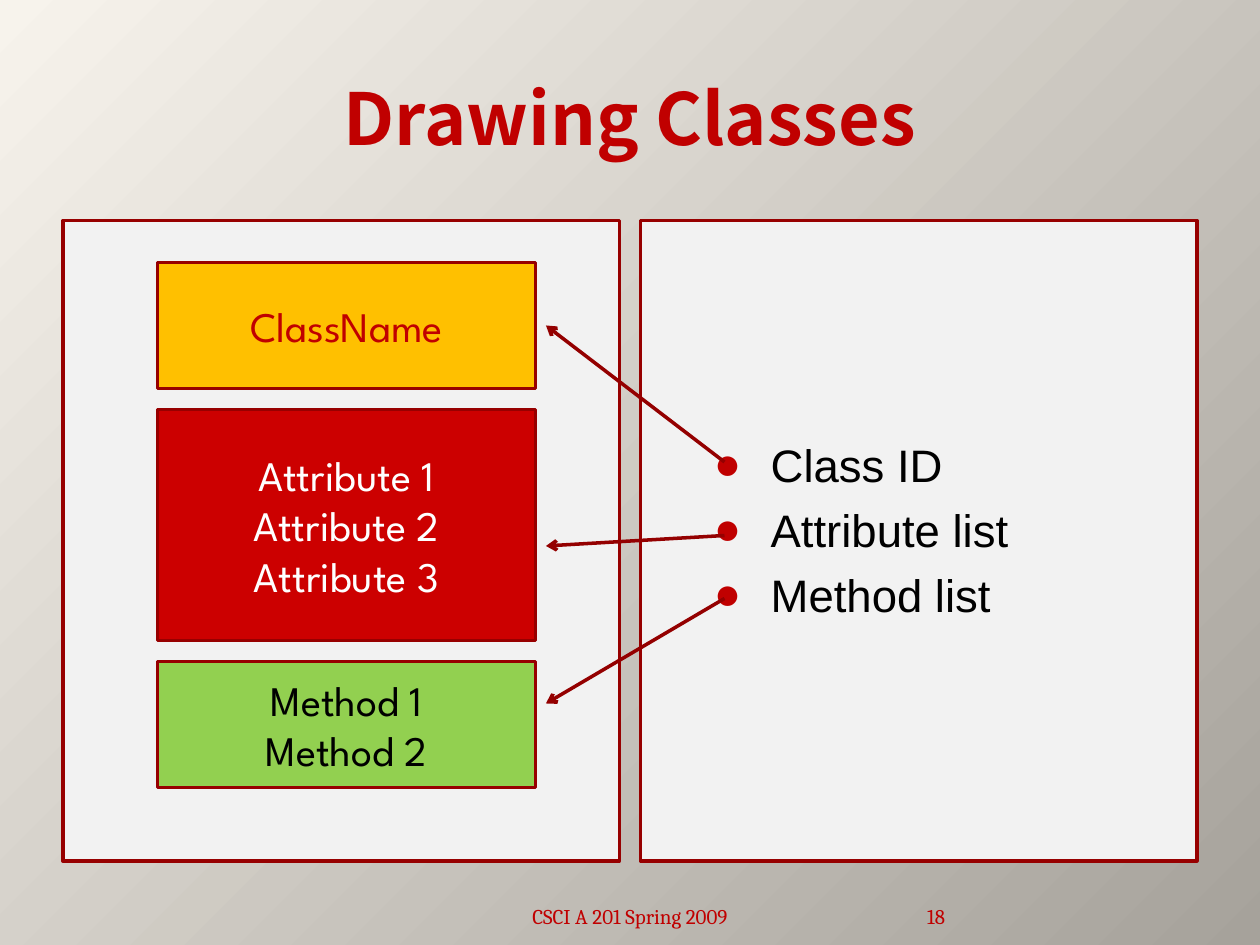
import dataclasses
import typing

import pptx
import pptx.dml.color
import pptx.enum.shapes
import pptx.enum.text
import pptx.oxml
import pptx.oxml.ns
import pptx.util

Pt = pptx.util.Pt
Align = pptx.enum.text.PP_ALIGN
Anchor = pptx.enum.text.MSO_ANCHOR


def rgb(code: str) -> pptx.dml.color.RGBColor:
    return pptx.dml.color.RGBColor.from_string(code)


@dataclasses.dataclass(frozen=True)
class Theme:
    light: str = "F7F3EC"
    dark: str = "A6A29B"
    panel: str = "F2F2F2"
    border: str = "970000"
    arrow: str = "940000"
    accent: str = "C00000"
    black: str = "000000"
    white: str = "FFFFFF"
    gold: str = "FFC000"
    red: str = "CC0000"
    green: str = "92D050"
    title_font: str = "Noto Sans CJK SC"
    body_font: str = "Arial"
    class_font: str = "League Spartan"
    footer_font: str = "Cambria"
    title_size: float = 41
    body_size: float = 26
    class_size: float = 24
    footer_size: float = 12
    stroke: float = 2


THEME = Theme()


class Style(typing.NamedTuple):
    font: str
    size: float
    color: str
    bold: bool = False


class ClassPart(typing.NamedTuple):
    paragraphs: list[str]
    height: float
    fill: str
    color: str


class Arrow(typing.NamedTuple):
    start_y: float
    end_y: float


class Footer(typing.NamedTuple):
    text: str
    left: float
    width: float
    align: Align
    side_inset: float


def place(shape: typing.Any, left: float, top: float, width: float, height: float) -> None:
    shape.left, shape.top, shape.width, shape.height = map(Pt, (left, top, width, height))


def write(box: typing.Any, texts: list[str], style: Style, align: Align, anchor: Anchor) -> None:
    frame = box.text_frame
    frame.word_wrap = True
    frame.auto_size = pptx.enum.text.MSO_AUTO_SIZE.NONE
    frame.vertical_anchor = anchor
    for index, text in enumerate(texts):
        para = frame.add_paragraph() if index else frame.paragraphs[0]
        para.alignment = align
        for number, line in enumerate(text.split("\n")):
            if number:
                para.add_line_break()
            span = para.add_run()
            span.text = line
            span.font.name = style.font
            span.font.size = Pt(style.size)
            span.font.bold = style.bold
            span.font.color.rgb = rgb(style.color)


def add_box(page: typing.Any, left: float, top: float, width: float, height: float, fill: str) -> typing.Any:
    box = page.shapes.add_shape(
        pptx.enum.shapes.MSO_SHAPE.RECTANGLE, Pt(left), Pt(top), Pt(width), Pt(height)
    )
    box.shadow.inherit = False
    box.fill.solid()
    box.fill.fore_color.rgb = rgb(fill)
    box.line.color.rgb = rgb(THEME.border)
    box.line.width = Pt(THEME.stroke)
    return box


def add_bullet(para: typing.Any) -> None:
    para.space_before = Pt(6)
    properties = para._p.get_or_add_pPr()
    properties.set("marL", str(Pt(43.2)))
    properties.set("indent", str(Pt(-32.4)))
    namespace = pptx.oxml.ns.nsdecls("a")
    for markup in (
        f'<a:buClr {namespace}><a:srgbClr val="{THEME.accent}"/></a:buClr>',
        f'<a:buFont {namespace} typeface="{THEME.body_font}"/>',
        f'<a:buChar {namespace} char="●"/>',
    ):
        properties.append(pptx.oxml.parse_xml(markup))


def add_arrow(page: typing.Any, arrow: Arrow) -> None:
    connector = page.shapes.add_connector(
        pptx.enum.shapes.MSO_CONNECTOR.STRAIGHT,
        Pt(414), Pt(arrow.start_y), Pt(312), Pt(arrow.end_y),
    )
    connector.line.color.rgb = rgb(THEME.arrow)
    connector.line.width = Pt(THEME.stroke)
    namespace = pptx.oxml.ns.nsdecls("a")
    connector.line._get_or_add_ln().append(
        pptx.oxml.parse_xml(f'<a:tailEnd {namespace} type="arrow"/>')
    )
    connector._element.spPr.append(pptx.oxml.parse_xml(f"<a:effectLst {namespace}/>"))


def add_footer(page: typing.Any, footer: Footer) -> None:
    box = page.shapes.add_textbox(Pt(footer.left), Pt(505.5), Pt(footer.width), Pt(28.5))
    box.text_frame.margin_left = box.text_frame.margin_right = Pt(footer.side_inset)
    style = Style(THEME.footer_font, THEME.footer_size, THEME.accent)
    write(box, [footer.text], style, footer.align, Anchor.BOTTOM)


PARTS = [
    ClassPart(["ClassName"], 72, THEME.gold, THEME.accent),
    ClassPart(["Attribute 1", "Attribute 2", "Attribute 3"], 132, THEME.red, THEME.white),
    ClassPart(["Method 1\nMethod 2"], 72, THEME.green, THEME.black),
]
ARROWS = [Arrow(342, 402), Arrow(306, 312), Arrow(264, 186)]
FOOTERS = [
    Footer("CSCI A 201 Spring 2009", 246, 228, Align.CENTER, 7.2),
    Footer("18", 480, 60, Align.RIGHT, 0),
]
GAP = 12
PANEL_SIDE = 318

deck = pptx.Presentation()
deck.slide_width, deck.slide_height = Pt(720), Pt(540)
page = deck.slides.add_slide(deck.slide_layouts[1])

backdrop = page.background.fill
backdrop.gradient()
backdrop.gradient_angle = 315
for stop, color in zip(backdrop.gradient_stops, (THEME.light, THEME.dark)):
    stop.color.rgb = rgb(color)

title, body = page.shapes.title, page.placeholders[1]
for column in range(2):
    panel = add_box(page, 36 + column * (PANEL_SIDE + GAP), 126, PANEL_SIDE, 366, THEME.panel)
    title.element.addprevious(panel.element)

place(title, 36, 21.6, 648, 90)
title_style = Style(THEME.title_font, THEME.title_size, THEME.accent, True)
write(title, ["Drawing Classes"], title_style, Align.CENTER, Anchor.MIDDLE)

place(body, 390, 246, 270, 138)
body.fill.solid()
body.fill.fore_color.rgb = rgb(THEME.panel)
body_style = Style(THEME.body_font, THEME.body_size, THEME.black)
write(body, ["Class ID", "Attribute list", "Method list"], body_style, Align.LEFT, Anchor.TOP)
for para in body.text_frame.paragraphs:
    add_bullet(para)

for footer in FOOTERS:
    add_footer(page, footer)

top = 150
for part in PARTS:
    box = add_box(page, 90, top, 216, part.height, part.fill)
    part_style = Style(THEME.class_font, THEME.class_size, part.color)
    write(box, part.paragraphs, part_style, Align.CENTER, Anchor.MIDDLE)
    top += part.height + GAP

for arrow in ARROWS:
    add_arrow(page, arrow)

deck.save("out.pptx")
